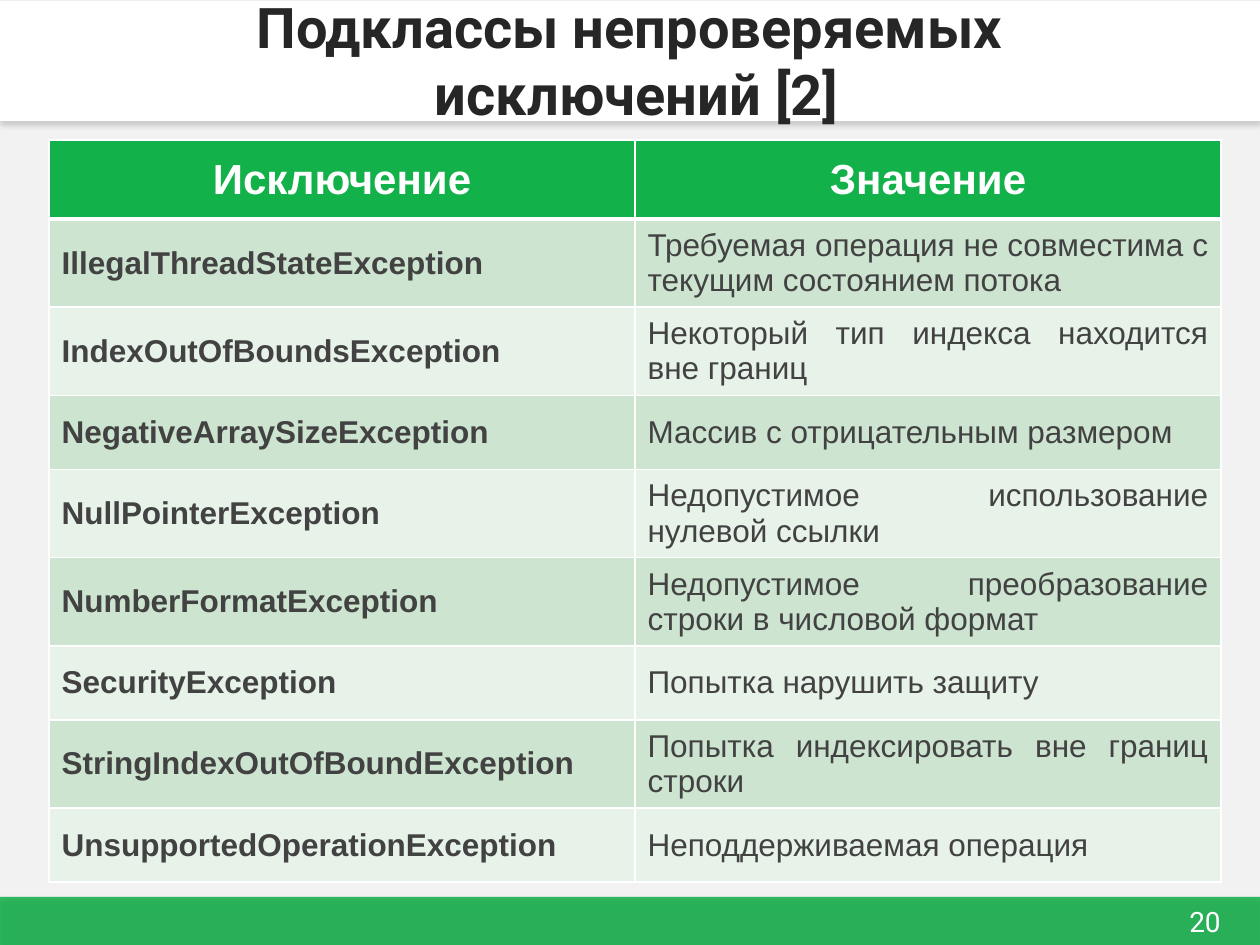
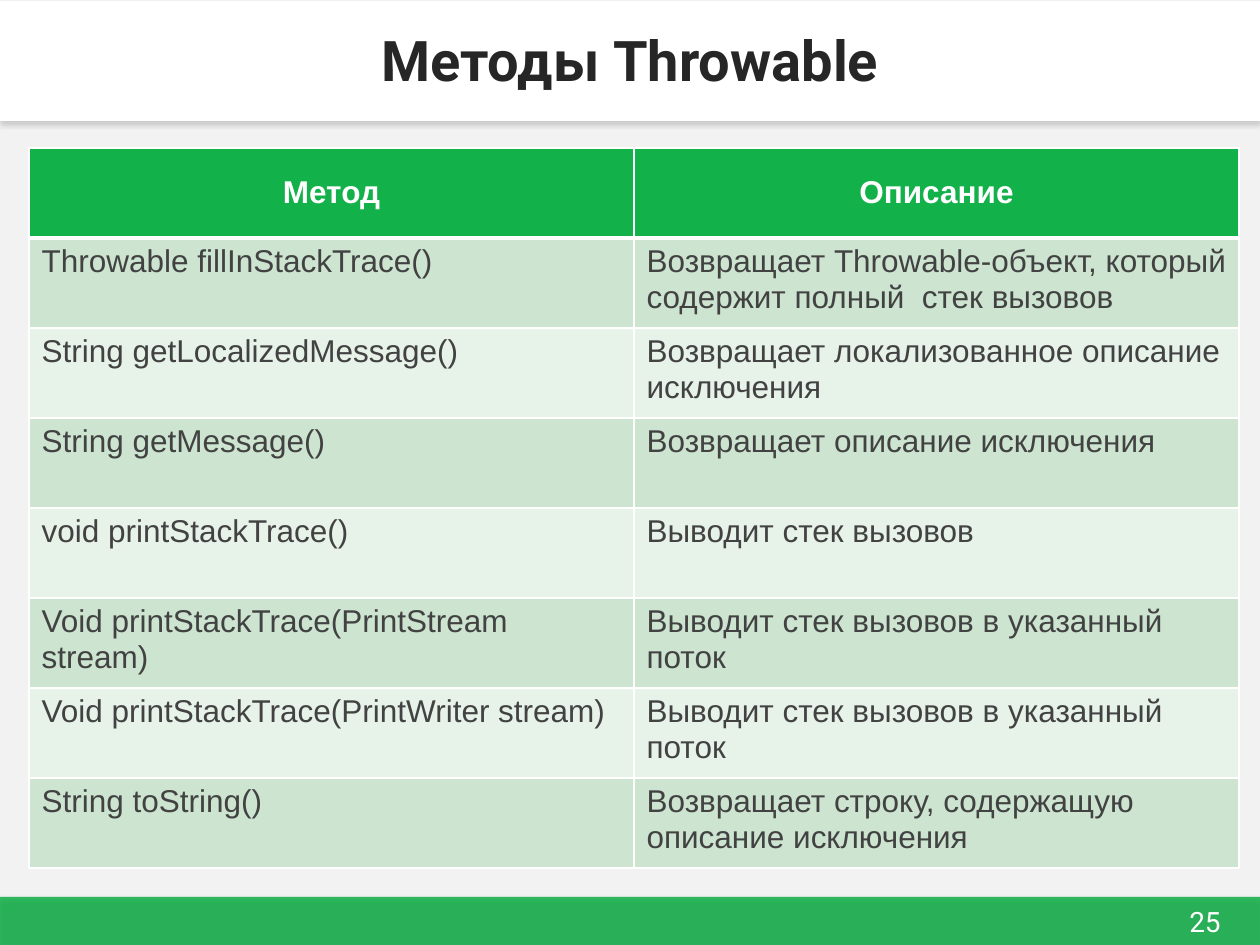
from dataclasses import dataclass

from lxml.etree import SubElement
from pptx import Presentation
from pptx.dml.color import RGBColor as RGB
from pptx.enum.shapes import MSO_SHAPE as SHAPE
from pptx.enum.text import MSO_ANCHOR as ANCHOR, PP_ALIGN as ALIGN
from pptx.oxml.ns import qn
from pptx.util import Emu, Pt

PX_PER_INCH = 126
WIDTH, HEIGHT = 1260, 945


@dataclass(frozen=True)
class Theme:
    background: str = "F2F2F2"
    green: str = "13B14A"
    white: str = "FFFFFF"
    title: str = "262626"
    body: str = "424242"
    stripes: tuple = ("CCE4D0", "E7F2E9")
    footer_shadow: str = "000000"
    title_shadow: str = "808080"
    title_font: str = "Roboto"
    table_font: str = "Arial"
    title_size: int = 32
    number_size: int = 16
    body_size: int = 18


def px(n):
    return Emu(round(n * 914400 / PX_PER_INCH))


def add_colour(parent, colour, **mods):
    clr = SubElement(parent, qn("a:srgbClr"), val=colour)
    for name, value in mods.items():
        SubElement(clr, qn("a:" + name), val=str(value))


class Deck:
    def __init__(self, theme):
        self.theme = theme
        self.prs = Presentation()
        self.prs.slide_width, self.prs.slide_height = px(WIDTH), px(HEIGHT)
        self.slide = None

    def add_slide(self, title, number):
        t = self.theme
        self.slide = self.prs.slides.add_slide(self.prs.slide_layouts[6])
        fill = self.slide.background.fill
        fill.solid()
        fill.fore_color.rgb = RGB.from_string(t.background)
        # Footer and title bands
        self.band(897, 48, t.green, t.footer_shadow, opacity=86)
        self.band(1, 120, t.white, t.title_shadow)
        # Page number and title
        self.text(1162, 898, 86, 47, number, t.number_size, t.white)
        self.text(0, -1, WIDTH, 121, title, t.title_size, t.title, bold=True)

    def band(self, top, height, colour, shadow, opacity=100):
        s = self.slide.shapes.add_shape(SHAPE.RECTANGLE, 0, px(top), px(WIDTH), px(height))
        s.fill.solid()
        s.fill.fore_color.rgb = RGB.from_string(colour)
        s.line.fill.background()
        s.shadow.inherit = False
        sp_pr = s._element.spPr
        if opacity < 100:
            clr = sp_pr.find(qn("a:solidFill")).find(qn("a:srgbClr"))
            SubElement(clr, qn("a:alpha"), val=str(opacity * 1000))
        outer = SubElement(sp_pr.find(qn("a:effectLst")), qn("a:outerShdw"),
                           blurRad=str(Pt(3.1)), dist=str(Pt(1.8)),
                           dir="5400000", algn="t", rotWithShape="0")
        add_colour(outer, shadow, alpha=35000)

    def text(self, left, top, width, height, text, size, colour, bold=False):
        s = self.slide.shapes.add_textbox(px(left), px(top), px(width), px(height))
        tf = s.text_frame
        tf.word_wrap = True
        tf.vertical_anchor = ANCHOR.MIDDLE
        self.set_text(tf, text, self.theme.title_font, size, colour, bold, ALIGN.CENTER)

    def set_text(self, tf, text, font, size, colour, bold, align):
        p = tf.paragraphs[0]
        p.text = text
        p.alignment = align
        for r in p.runs:
            r.font.name, r.font.size, r.font.bold = font, Pt(size), bold
            r.font.color.rgb = RGB.from_string(colour)

    def border(self, cell, side, width):
        ln = SubElement(cell._tc.get_or_add_tcPr(), qn("a:ln" + side), w=str(Pt(width)))
        add_colour(SubElement(ln, qn("a:solidFill")), self.theme.white)

    def table(self, left, top, col_width, header_height, row_height, rows,
              header_size, anchor, bold_names=False, align=ALIGN.LEFT):
        t = self.theme
        height = header_height + row_height * (len(rows) - 1)
        table = self.slide.shapes.add_table(len(rows), 2, px(left), px(top),
                                            px(2 * col_width), px(height)).table
        for col in table.columns:
            col.width = px(col_width)
        for i, values in enumerate(rows):
            header = i == 0
            table.rows[i].height = px(header_height if header else row_height)
            for j, value in enumerate(values):
                cell = table.cell(i, j)
                # Borders come before the fill; the header rule is thicker
                for side in "LRTB":
                    thick = (i, side) in ((0, "B"), (1, "T"))
                    self.border(cell, side, 3 if thick else 1)
                cell.fill.solid()
                colour = t.green if header else t.stripes[(i - 1) % 2]
                cell.fill.fore_color.rgb = RGB.from_string(colour)
                if header:
                    cell.vertical_anchor = ANCHOR.MIDDLE
                    style = header_size, t.white, True, ALIGN.CENTER
                else:
                    cell.vertical_anchor = anchor
                    style = (t.body_size, t.body, bold_names and j == 0,
                             align if j else ALIGN.LEFT)
                self.set_text(cell.text_frame, value, t.table_font, *style)


EXCEPTIONS = [
    ("Исключение", "Значение"),
    ("IllegalThreadStateException",
     "Требуемая операция не совместима с текущим состоянием потока"),
    ("IndexOutOfBoundsException", "Некоторый тип индекса находится вне границ"),
    ("NegativeArraySizeException", "Массив с отрицательным размером"),
    ("NullPointerException", "Недопустимое использование нулевой ссылки"),
    ("NumberFormatException", "Недопустимое преобразование строки в числовой формат"),
    ("SecurityException", "Попытка нарушить защиту"),
    ("StringIndexOutOfBoundException", "Попытка индексировать вне границ строки"),
    ("UnsupportedOperationException", "Неподдерживаемая операция"),
]

METHODS = [
    ("Метод", "Описание"),
    ("Throwable fillInStackTrace()",
     "Возвращает Throwable-объект, который содержит полный  стек вызовов"),
    ("String getLocalizedMessage()", "Возвращает локализованное описание исключения"),
    ("String getMessage()", "Возвращает описание исключения"),
    ("void printStackTrace()", "Выводит стек вызовов"),
    ("Void printStackTrace(PrintStream stream)", "Выводит стек вызовов в указанный поток"),
    ("Void printStackTrace(PrintWriter stream)", "Выводит стек вызовов в указанный поток"),
    ("String toString()", "Возвращает строку, содержащую описание исключения"),
]


def main():
    deck = Deck(Theme())

    # Unchecked exceptions
    deck.add_slide("Подклассы непроверяемых\v исключений [2]", "20")
    deck.table(49, 140, 586, 79, 74, EXCEPTIONS, header_size=24,
               anchor=ANCHOR.MIDDLE, bold_names=True, align=ALIGN.JUSTIFY)

    # Throwable methods
    deck.add_slide("Методы Throwable", "25")
    deck.table(29, 148, 605, 90, 90, METHODS, header_size=18, anchor=ANCHOR.TOP)

    deck.prs.save("out.pptx")


if __name__ == "__main__":
    main()
